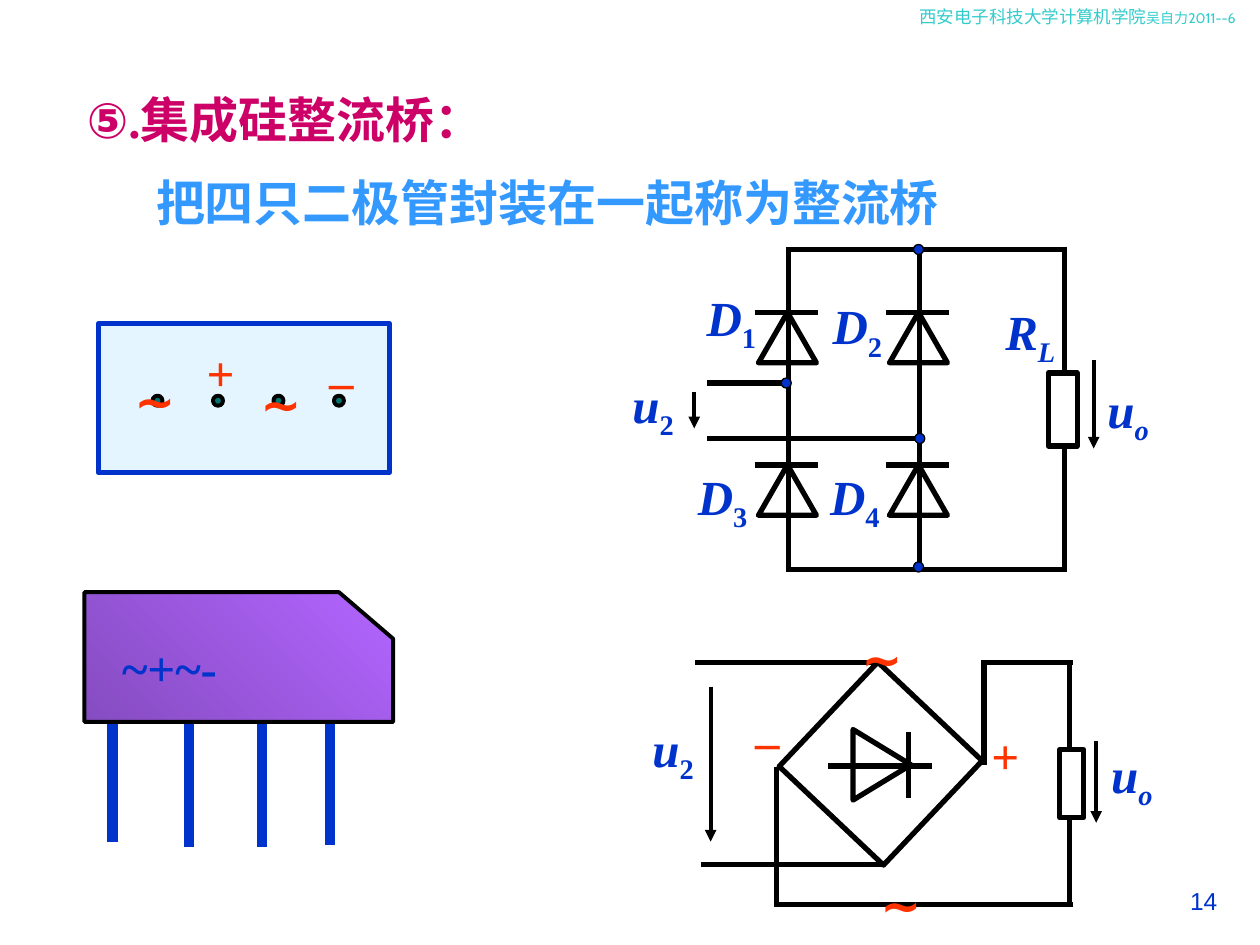
from lxml import etree
from pptx import Presentation, util as u
from pptx.dml import color as dml
from pptx.enum import shapes, text
from pptx.oxml import ns

SHAPE = shapes.MSO_SHAPE
LEFT, MID, RIGHT = text.PP_ALIGN.LEFT, text.PP_ALIGN.CENTER, text.PP_ALIGN.RIGHT
TOP, CENTRE = text.MSO_ANCHOR.TOP, text.MSO_ANCHOR.MIDDLE
HUES = {"ink": "000000", "paper": "FFFFFF", "blue": "0033CC", "sky": "3399FF",
        "rose": "CC0066", "red": "FF3300", "aqua": "33CCCC", "teal": "007572",
        "ice": "CCECFF", "lilac": "B265FF", "plum": "864CC1"}
SERIF = "Times New Roman"


class Board:
    """Draws on a grid of 100 columns by 75 rows."""

    def __init__(self, deck):
        self.slide = deck.slides.add_slide(deck.slide_layouts[5])
        self.items = self.slide.shapes
        self.cell = deck.slide_width / 100

    def grid(self, *cells):
        return [u.Emu(round(c * self.cell)) for c in cells]

    def hue(self, name):
        return dml.RGBColor.from_string(HUES[name])

    def sub(self, node, tag, **attrs):
        return etree.SubElement(node, ns.qn(tag), **attrs)

    def style(self, shape, fill, line, width):
        shape.shadow.inherit = False
        if fill:
            shape.fill.solid()
            shape.fill.fore_color.rgb = self.hue(fill)
        else:
            shape.fill.background()
        shape.line.color.rgb = self.hue(line)
        shape.line.width = u.Pt(width)

    def shape(self, kind, box, fill=None, line="ink", width=3, turn=0):
        shape = self.items.add_shape(kind, *self.grid(*box))
        self.style(shape, fill, line, width)
        shape.rotation = turn
        return shape

    def dot(self, x, y, fill, width):
        self.shape(SHAPE.OVAL, (x, y, 0.8, 0.8), fill, "ink", width)

    def wire(self, ends, hue="ink", width=3, head=False):
        wire = self.items.add_connector(shapes.MSO_CONNECTOR.STRAIGHT, *self.grid(*ends))
        wire.line.color.rgb = self.hue(hue)
        wire.line.width = u.Pt(width)
        props = wire._element.spPr
        if head:
            self.sub(props.find(ns.qn("a:ln")), "a:tailEnd", type="triangle")
        self.sub(props, "a:effectLst")

    def outline(self, points, width):
        first, *rest = [self.grid(*p) for p in points]
        pen = self.items.build_freeform(*first)
        pen.add_line_segments(rest)
        shape = pen.convert_to_shape()
        self.style(shape, None, "ink", width)
        return shape

    def words(self, shape, runs, hue, size=28, font=SERIF, bold=True, italic=False,
              align=LEFT, anchor=TOP, wrap=True):
        frame = shape.text_frame
        frame.auto_size = text.MSO_AUTO_SIZE.NONE
        frame.word_wrap, frame.vertical_anchor = wrap, anchor
        para = frame.paragraphs[0]
        para.alignment = align
        face = para.font
        face.size, face.name = u.Pt(size), font
        face.bold, face.italic = bold, italic
        face.color.rgb = self.hue(hue)
        for part in runs:
            para.add_run().text = part
        return para

    def label(self, box, runs, hue, **style):
        return self.words(self.items.add_textbox(*self.grid(*box)), runs, hue, **style)

    def symbol(self, x, y, name, low):
        """Italic letter with a subscript; digits stand upright."""
        para = self.label((x, y, 6.5, 6.3), (name, low), "blue", italic=True)
        run = para.runs[1]
        run._r.get_or_add_rPr().set("baseline", "-25000")
        if low.isdigit():
            run.font.italic = False

    def sign(self, x, y, mark, wide=4):
        self.label((x, y, wide, 5.7), (mark,), "red", align=MID, anchor=CENTRE, wrap=False,
                   font="Arial" if mark == "∼" else SERIF)


def heading(b):
    para = b.label((72, 0, 28, 2.7), ("西安电子科技大学计算机学院", "吴自力2011--6"),
                   "aqua", size=10, font="Cabin", bold=False)
    para.runs[1].font.size = u.Pt(8)
    title = b.items.title
    title.left, title.top, title.width, title.height = b.grid(5.9, 6.6, 34.6, 5.7)
    para = b.words(title, ("⑤", ".集成硅整流桥："), "rose", wrap=False)
    para.runs[0].font.name = "Arial"
    para = b.label((11.4, 12.3, 71.7, 6.6), ("把四只二极管封装在一起称为整流桥",), "sky")
    para.line_spacing = 1.2


def symbolic(b):
    # Diamond with a diode inside
    b.shape(SHAPE.RECTANGLE, (64.2, 54.9, 11.4, 11.4), "paper", turn=313.4)
    b.shape(SHAPE.ISOSCELES_TRIANGLE, (67.2, 58.4, 5.6, 4.6), "paper", turn=90)
    for ends in ((74, 60.8, 65.7, 60.8), (72.1, 58.1, 72.1, 63.3),
                 # Input leads
                 (55.2, 52.6, 69.7, 52.6), (55.6, 68.6, 70.2, 68.6),
                 # Output loop
                 (78.1, 60.7, 78.1, 52.4), (77.9, 52.6, 85.2, 52.6),
                 (61.6, 60.9, 61.6, 72), (61.6, 71.8, 85.2, 71.8),
                 (84.9, 52.4, 84.9, 71.8)):
        b.wire(ends)
    b.shape(SHAPE.RECTANGLE, (84.1, 59.5, 1.9, 5.4), "paper")
    b.wire((56.4, 54.5, 56.4, 66.8), width=2.25, head=True)
    b.wire((87, 58.8, 87, 65.3), width=2.25, head=True)
    b.symbol(50.8, 56.5, "u", "2")
    b.symbol(87.2, 58.6, "u", "o")
    for x, y, mark in ((77.8, 57.1, "+"), (58.9, 55.9, "–"),
                       (69.5, 68.9, "∼"), (68, 49.4, "∼")):
        b.sign(x, y, mark)


def package(b):
    # Side view: pins behind the body
    for x, y in ((20.8, 53), (15, 53), (8.95, 52.6), (26.2, 52.9)):
        b.wire((x, y, x, y + 14.2), "blue", 6)
    body = b.outline(((6.7, 48.6), (6.7, 57.3), (31.2, 57.3), (31.2, 50.7),
                      (26.9, 47), (6.7, 47)), 2.25)
    body.fill.gradient()
    body.fill.gradient_angle = 225
    for stop, name, spot in zip(body.fill.gradient_stops, ("lilac", "plum"), (0, 1)):
        stop.color.rgb, stop.position = b.hue(name), spot
    b.label((8.7, 50.1, 21.1, 5.7), ("~+~-",), "blue", anchor=CENTRE)
    # Bottom view: four contacts
    case = b.shape(SHAPE.RECTANGLE, (7.8, 25.7, 23.1, 11.8), "ice", "blue")
    tint = case._element.spPr.find(ns.qn("a:solidFill"))[0]
    b.sub(tint, "a:alpha", val="50000")
    for i in range(4):
        b.dot(12.1 + 4.8 * i, 31.4, "teal", 2.25)
    for x, y, mark in ((10.3, 28.9, "∼"), (20.3, 29.1, "∼"),
                       (15.5, 26.7, "+"), (25.1, 27.3, "–")):
        b.sign(x, y, mark)


def bridge(b):
    # Two branches of two diodes
    for x in (62.6, 73):
        b.wire((x, 19.6, x, 45.2))
        for y in (24.8, 36.9):
            b.shape(SHAPE.ISOSCELES_TRIANGLE, (x - 2.4, y, 4.6, 4))
            b.wire((x - 2.7, y, x + 2.3, y))
    # Rails, load and input leads
    for ends in ((62.4, 19.8, 84.7, 19.8), (62.4, 45.2, 84.7, 45.2),
                 (84.5, 19.6, 84.5, 45.2), (56.1, 30.4, 62.6, 30.4),
                 (56.1, 34.8, 72.8, 34.8)):
        b.wire(ends)
    b.shape(SHAPE.RECTANGLE, (83.2, 29.6, 2.3, 5.8), "paper")
    for x, y in ((72.5, 19.4), (62, 30), (72.6, 34.4), (72.5, 44.6)):
        b.dot(x, y, "blue", 0.75)
    for x, y, name, low in ((78.8, 23.4, "R", "L"), (55.1, 22.3, "D", "1"),
                            (54.4, 36.5, "D", "3"), (65.1, 23, "D", "2"),
                            (64.9, 36.5, "D", "4"), (49.2, 29.2, "u", "2"),
                            (86.9, 29.6, "u", "o")):
        b.symbol(x, y, name, low)
    b.wire((55.1, 31.1, 55.1, 34), width=2.25, head=True)
    b.wire((86.8, 28.6, 86.8, 35.6), width=2.25, head=True)


def main():
    deck = Presentation()
    deck.slide_width, deck.slide_height = u.Inches(10), u.Inches(7.5)
    b = Board(deck)
    heading(b)
    symbolic(b)
    package(b)
    bridge(b)
    # Page number
    b.label((91.7, 69.8, 5.9, 4.4), ("14",), "blue", size=14, font="Arial",
            bold=False, align=RIGHT)
    deck.save("out.pptx")


if __name__ == "__main__":
    main()
